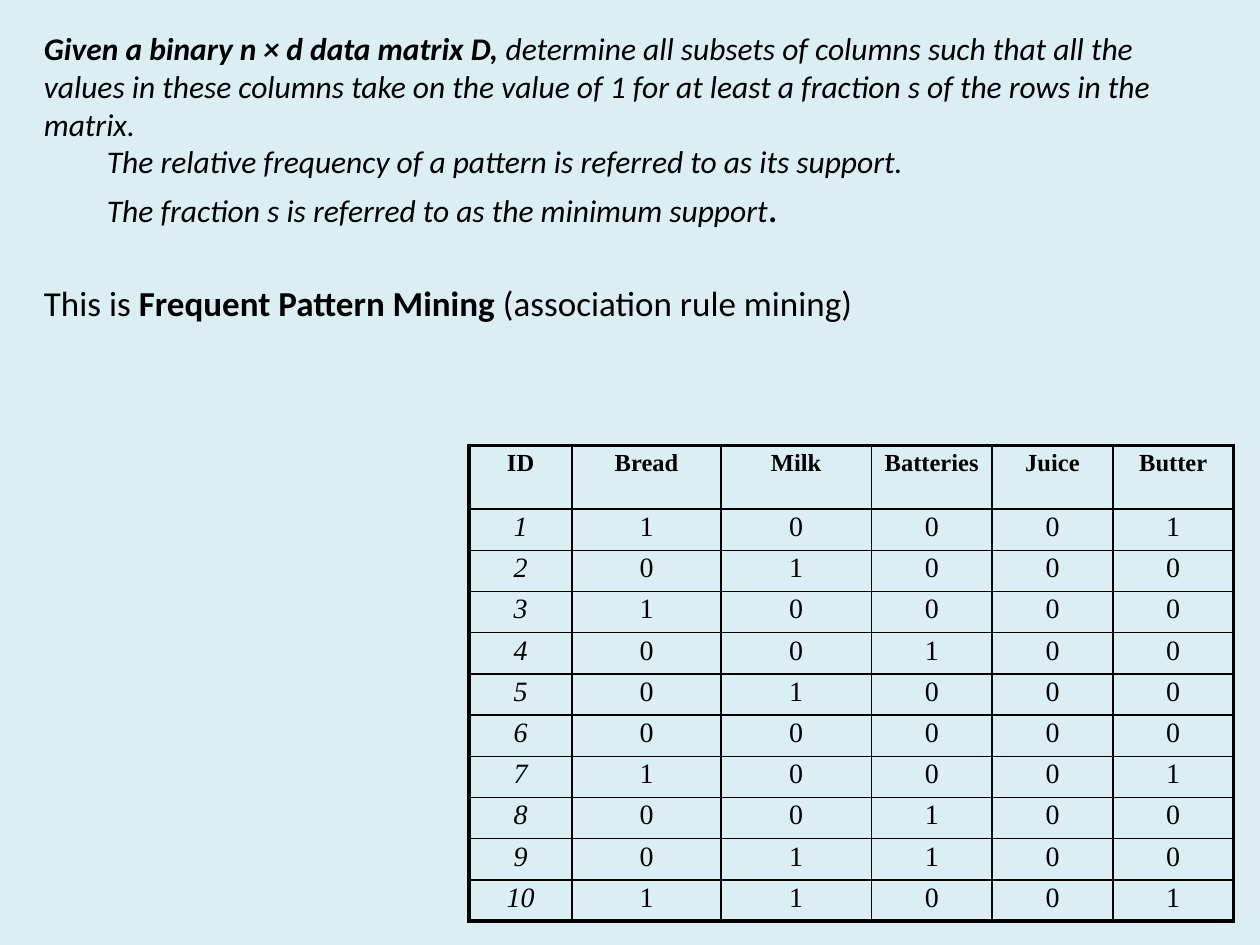
from lxml.etree import SubElement
from pptx import Presentation
from pptx.dml.color import RGBColor
from pptx.enum.text import PP_ALIGN
from pptx.oxml.ns import qn
from pptx.util import Pt

BLACK = "000000"
BACKGROUND = "DBEEF4"
THIN, THICK = 1, 2.25

HEADERS = ["ID", "Bread", "Milk", "Batteries", "Juice", "Butter"]
BASKETS = ["10001", "01000", "10000", "00100", "01000",
           "00000", "10001", "00100", "01100", "11001"]
COLUMN_WIDTHS = [59, 85, 86, 69, 69, 69]
HEADER_HEIGHT, ROW_HEIGHT = 36.5, 23.55


def color(hex_string):
    return RGBColor.from_string(hex_string)


def add_text(paragraph, text, size=18, font="Calibri", bold=False, italic=False):
    run = paragraph.add_run()
    run.text = text
    run.font.name = font
    run.font.size = Pt(size)
    run.font.bold = bold
    run.font.italic = italic
    run.font.color.rgb = color(BLACK)


def indent(paragraph, left):
    """Set a hanging-free left indent on a second-level paragraph."""
    paragraph.level = 1
    properties = paragraph._p.get_or_add_pPr()
    properties.set("marL", str(Pt(left)))
    properties.set("indent", "0")


def add_definition(slide, left, top, width, height):
    frame = slide.shapes.add_textbox(Pt(left), Pt(top), Pt(width), Pt(height)).text_frame
    frame.word_wrap = True
    problem = frame.paragraphs[0]
    add_text(problem, "Given a binary n × d data matrix D, ", bold=True, italic=True)
    add_text(problem, "determine all subsets of columns such that all the values in these "
             "columns take on the value of 1 for at least a fraction s of the rows in the "
             "matrix.", italic=True)

    for text in ("The relative frequency of a pattern is referred to as its support.",
                 "The fraction s is referred to as the minimum support"):
        term = frame.add_paragraph()
        indent(term, 36)
        add_text(term, text, italic=True)
    add_text(term, ".", size=24, italic=True)

    name = frame.add_paragraph()
    name.space_before = Pt(29.3)
    add_text(name, "This is ", size=20)
    add_text(name, "Frequent Pattern Mining", size=20, bold=True)
    add_text(name, " (association rule mining)", size=20)


def set_borders(cell, widths):
    """Draw the sides of a cell; widths maps L, R, T and B to points."""
    properties = cell._tc.get_or_add_tcPr()
    for side, width in widths.items():
        line = SubElement(properties, qn(f"a:ln{side}"), w=str(Pt(width)))
        fill = SubElement(line, qn("a:solidFill"))
        SubElement(fill, qn("a:srgbClr"), val=BLACK)


def add_basket_table(slide, left, top):
    rows = [HEADERS] + [[str(number), *basket] for number, basket in enumerate(BASKETS, 1)]
    heights = [HEADER_HEIGHT] + [ROW_HEIGHT] * len(BASKETS)
    last_row, last_column = len(rows) - 1, len(HEADERS) - 1
    table = slide.shapes.add_table(len(rows), len(HEADERS), Pt(left), Pt(top),
                                   Pt(sum(COLUMN_WIDTHS)), Pt(sum(heights))).table
    table.horz_banding = False
    for column, width in zip(table.columns, COLUMN_WIDTHS):
        column.width = Pt(width)
    for row, height in zip(table.rows, heights):
        row.height = Pt(height)

    for r, values in enumerate(rows):
        is_header = r == 0
        for c, value in enumerate(values):
            cell = table.cell(r, c)
            set_borders(cell, {"L": THICK if c == 0 else THIN,
                               "R": THICK if c == last_column else THIN,
                               "T": THICK if is_header else THIN,
                               "B": THICK if r == last_row else THIN})
            cell.fill.background()
            paragraph = cell.text_frame.paragraphs[0]
            paragraph.alignment = PP_ALIGN.CENTER
            paragraph.line_spacing = 0.9 if is_header else 0.85
            add_text(paragraph, value, size=14 if is_header else 16,
                     font="Times New Roman", bold=is_header,
                     italic=c == 0 and not is_header)


def main():
    presentation = Presentation()
    presentation.slide_width, presentation.slide_height = Pt(720), Pt(540)
    slide = presentation.slides.add_slide(presentation.slide_layouts[6])
    slide.background.fill.solid()
    slide.background.fill.fore_color.rgb = color(BACKGROUND)
    add_definition(slide, 18, 13, 682, 123)
    add_basket_table(slide, 268, 254.5)
    presentation.save("out.pptx")


if __name__ == "__main__":
    main()
